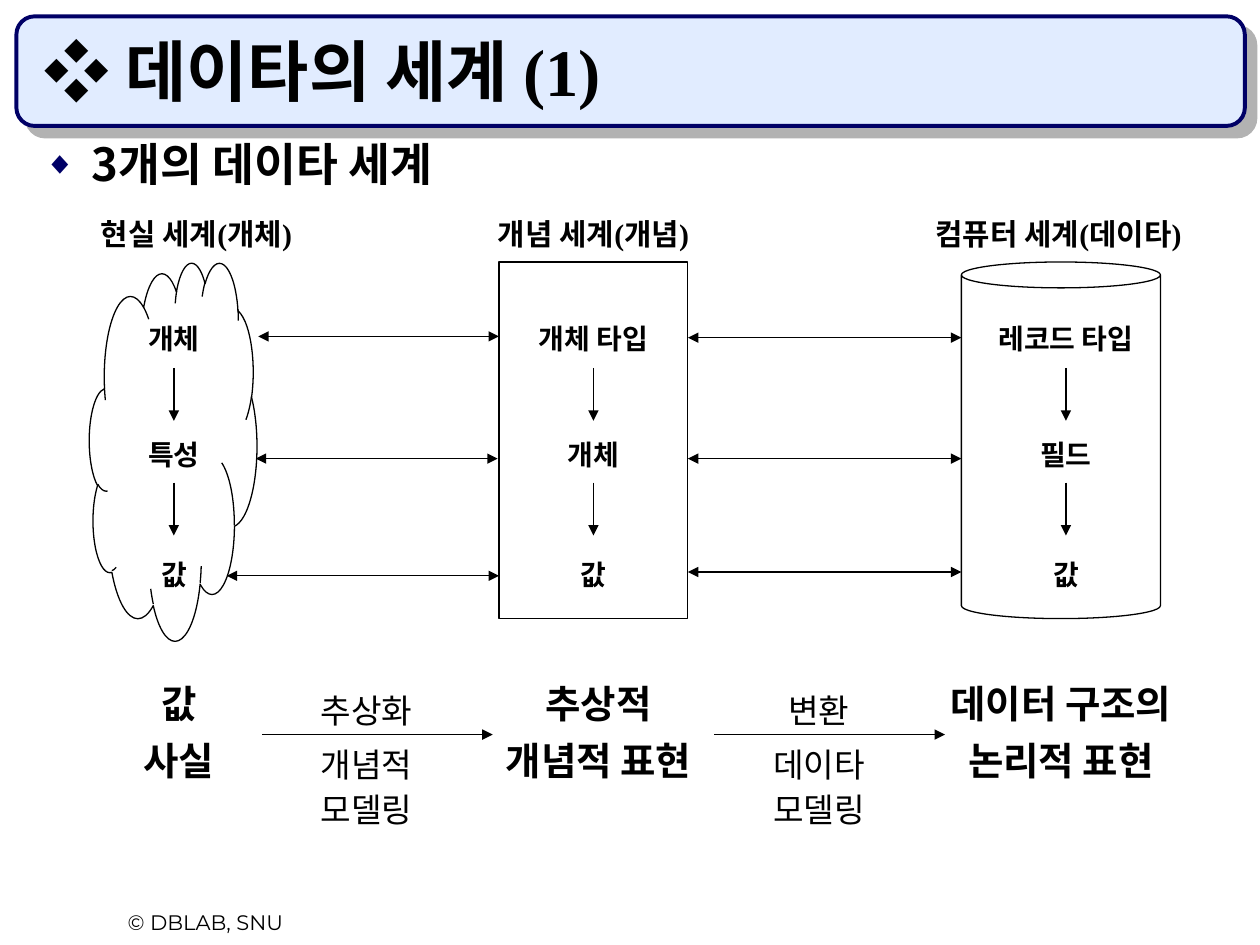
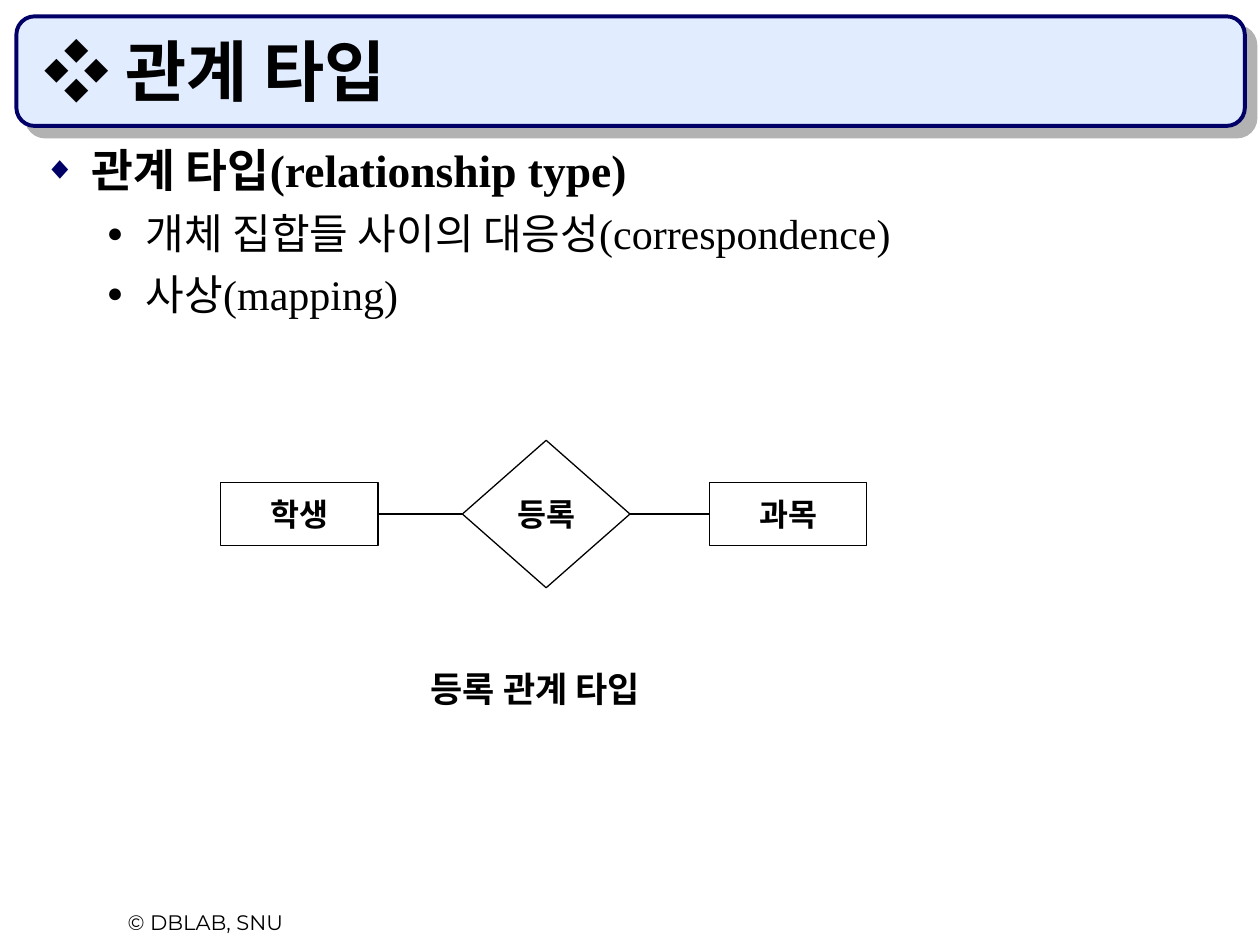
from lxml import etree
from pptx import Presentation
from pptx import util as u
from pptx.dml.color import RGBColor
from pptx.enum import shapes, text
from pptx.oxml.ns import qn

BLACK, WHITE, NAVY, PALE, SHADE = "000000", "FFFFFF", "000066", "E1ECFF", "B2B2B2"
SERIF, KOREAN, FOOTER_FONT = "Times New Roman", "Noto Sans CJK KR", "Montserrat"
FOOTER = "© DBLAB, SNU"
SHAPE, ALIGN, ANCHOR = shapes.MSO_SHAPE, text.PP_ALIGN, text.MSO_ANCHOR

BULLETS = [
    dict(mark="◆", color=NAVY, share=70, margin=0.38, hang=0.38, size=26, bold=True, before=6.5),
    dict(mark="●", color=BLACK, share=65, margin=0.81, hang=0.31, size=24, bold=False, before=6),
]

WORLDS_TITLE = [(" 데이타의 세계 ", KOREAN), ("(1)", SERIF)]
WORLDS_POINTS = [(0, "3개의 데이타 세계")]
WORLDS = [
    dict(name="현실 세계(개체)", name_x=1.56, outline=SHAPE.CLOUD, box=(0.71, 2.08, 1.33, 3),
         center=1.38, levels=["개체", "특성", "값"],
         summary=["값", "사실"], summary_x=1.42),
    dict(name="개념 세계(개념)", name_x=4.71, outline=SHAPE.RECTANGLE, box=(3.96, 2.08, 1.5, 2.83),
         center=4.71, levels=["개체 타입", "개체", "값"],
         summary=["추상적", "개념적 표현"], summary_x=4.75),
    dict(name="컴퓨터 세계(데이타)", name_x=8.4, outline=SHAPE.CAN, box=(7.63, 2.08, 1.58, 2.83),
         center=8.46, levels=["레코드 타입", "필드", "값"],
         summary=["데이터 구조의", "논리적 표현"], summary_x=8.42),
]
LEVEL_TOPS = [2.5, 3.42, 4.38]
STEP_TOPS, STEP_LENGTH = [2.92, 3.83], 0.42
MAPPINGS = [
    (2.05, 3.96, 2.67), (2.03, 3.95, 3.64), (1.8, 3.96, 4.57),
    (5.46, 7.63, 2.68), (5.46, 7.63, 3.64), (5.46, 7.63, 4.54),
]
TRANSITIONS = [
    (2.08, "추상화", ["개념적", "모델링"]),
    (5.67, "변환", ["데이타", "모델링"]),
]
TRANSITION_Y, TRANSITION_LENGTH = 5.83, 1.83

RELATION_TITLE = [(" 관계 타입", KOREAN)]
RELATION_POINTS = [
    (0, "관계 타입(relationship type)"),
    (1, "개체 집합들 사이의 대응성(correspondence)"),
    (1, "사상(mapping)"),
]
RELATION_PARTS = [
    ("학생", SHAPE.RECTANGLE, 1.75, 1.25, 0.5),
    ("등록", SHAPE.DIAMOND, 3.67, 1.33, 1.17),
    ("과목", SHAPE.RECTANGLE, 5.63, 1.25, 0.5),
]
RELATION_Y = 4.08
RELATION_CAPTION = "등록 관계 타입"


def rgb(color):
    return RGBColor.from_string(color)


def inches(*lengths):
    return [u.Inches(length) for length in lengths]


def set_font(target, size, name=SERIF, bold=False, east_asian=KOREAN):
    font = target.font
    font.size, font.name, font.bold = u.Pt(size), name, bold
    font.color.rgb = rgb(BLACK)
    if east_asian:
        latin = font._element.find(qn("a:latin"))
        ea = etree.Element(qn("a:ea"), typeface=east_asian)
        latin.addnext(ea)


def add_shape(slide, kind, box, fill=WHITE, line=BLACK, width=0.75):
    shape = slide.shapes.add_shape(kind, *inches(*box))
    shape.shadow.inherit = False
    shape.fill.solid()
    shape.fill.fore_color.rgb = rgb(fill)
    shape.line.color.rgb = rgb(line)
    shape.line.width = u.Pt(width)
    return shape


def add_textbox(slide, box):
    frame = slide.shapes.add_textbox(*inches(*box)).text_frame
    frame.word_wrap = True
    return frame


def add_label(slide, lines, center, top, width, height, size, bold=True,
              spacing=1.0, name=SERIF):
    frame = add_textbox(slide, (center - width / 2, top, width, height))
    frame.text = "\n".join(lines)
    for i, paragraph in enumerate(frame.paragraphs):
        paragraph.alignment = ALIGN.CENTER
        paragraph.line_spacing = spacing
        if i:
            paragraph.space_before = u.Pt(size * 0.625)
        set_font(paragraph, size, name, bold)


def add_line(slide, start, end, *arrow_ends):
    line = slide.shapes.add_connector(shapes.MSO_CONNECTOR.STRAIGHT, *inches(*start, *end))
    line.line.color.rgb = rgb(BLACK)
    line.line.width = u.Pt(0.75)
    outline = line.line._get_or_add_ln()
    for arrow_end in arrow_ends:
        etree.SubElement(outline, qn(f"a:{arrow_end}"), type="triangle")
    etree.SubElement(line._element.spPr, qn("a:effectLst"))
    return line


def add_bullet(paragraph, style):
    props = paragraph._p.get_or_add_pPr()
    props.set("marL", str(u.Inches(style["margin"])))
    props.set("indent", str(-u.Inches(style["hang"])))
    color = etree.SubElement(props, qn("a:buClr"))
    etree.SubElement(color, qn("a:srgbClr"), val=style["color"])
    etree.SubElement(props, qn("a:buSzPct"), val=str(style["share"] * 1000))
    etree.SubElement(props, qn("a:buFont"), typeface="Arial")
    etree.SubElement(props, qn("a:buChar"), char=style["mark"])


def add_band(slide):
    band = add_shape(slide, SHAPE.ROUNDED_RECTANGLE, (0.13, 0.13, 9.75, 0.87), PALE, NAVY, 2.25)
    effects = band._element.spPr.find(qn("a:effectLst"))
    shadow = etree.SubElement(effects, qn("a:outerShdw"), dist=str(u.Pt(8.5)),
                              dir=str(45 * 60000), algn="ctr", rotWithShape="0")
    etree.SubElement(shadow, qn("a:srgbClr"), val=SHADE)


def add_page(deck, title, points, points_height, spacing):
    slide = deck.slides.add_slide(deck.slide_layouts[6])
    add_band(slide)
    add_label(slide, [FOOTER], 1.63, 7.17, 2.42, 0.3, 12, bold=False, name=FOOTER_FONT)

    heading = add_textbox(slide, (0.25, 0.25, 9.42, 0.67))
    heading.vertical_anchor = ANCHOR.BOTTOM
    for words, name in [("❖", "Arial")] + title:
        run = heading.paragraphs[0].add_run()
        run.text = words
        set_font(run, 38, name, True, None if name == "Arial" else KOREAN)

    body = add_textbox(slide, (0.25, 1.08, 9.42, points_height))
    body.text = "\n".join(words for _, words in points)
    for i, (paragraph, (level, _)) in enumerate(zip(body.paragraphs, points)):
        style = BULLETS[level]
        add_bullet(paragraph, style)
        paragraph.level = level
        paragraph.line_spacing = spacing
        if i:
            paragraph.space_before = u.Pt(style["before"])
        set_font(paragraph, style["size"], SERIF if len(points) > 1 else KOREAN, style["bold"])
    return slide


def build_worlds(deck):
    slide = add_page(deck, WORLDS_TITLE, WORLDS_POINTS, 0.5, 0.9)
    for world in WORLDS:
        outline = add_shape(slide, world["outline"], world["box"])
        if world["outline"] == SHAPE.CAN:
            outline.adjustments[0] = 0.13
        add_label(slide, [world["name"]], world["name_x"], 1.66, 2.33, 0.39, 17)
        for level, top in zip(world["levels"], LEVEL_TOPS):
            add_label(slide, [level], world["center"], top, 1.45, 0.37, 16)
        for top in STEP_TOPS:
            add_line(slide, (world["center"], top), (world["center"], top + STEP_LENGTH), "tailEnd")
        add_label(slide, world["summary"], world["summary_x"], 5.45, 2.17, 0.81, 22, spacing=0.7)
    for left, right, y in MAPPINGS:
        add_line(slide, (left, y), (right, y), "headEnd", "tailEnd")
    for left, action, modeling in TRANSITIONS:
        add_line(slide, (left, TRANSITION_Y), (left + TRANSITION_LENGTH, TRANSITION_Y), "tailEnd")
        center = left + 0.83
        add_label(slide, [action], center, TRANSITION_Y - 0.4, 1.33, 0.42, 19, bold=False)
        add_label(slide, modeling, center, TRANSITION_Y + 0.14, 1.33, 0.65, 19, bold=False, spacing=0.6)


def build_relation(deck):
    slide = add_page(deck, RELATION_TITLE, RELATION_POINTS, 1.58, 1.0)
    parts = []
    for words, kind, left, width, height in RELATION_PARTS:
        part = add_shape(slide, kind, (left, RELATION_Y - height / 2, width, height))
        frame = part.text_frame
        frame.word_wrap = False
        frame.vertical_anchor = ANCHOR.MIDDLE
        frame.text = words
        frame.paragraphs[0].alignment = ALIGN.CENTER
        set_font(frame.paragraphs[0], 18, bold=True)
        parts.append(part)
    for left_part, right_part in zip(parts, parts[1:]):
        link = add_line(slide, (0, 0), (1, 1))
        link.begin_connect(left_part, 3)
        link.end_connect(right_part, 1)
    add_label(slide, [RELATION_CAPTION], 4.25, 5.25, 3.67, 0.44, 20)


def main():
    deck = Presentation()
    deck.slide_width, deck.slide_height = inches(10, 7.5)
    build_worlds(deck)
    build_relation(deck)
    deck.save("out.pptx")


if __name__ == "__main__":
    main()
